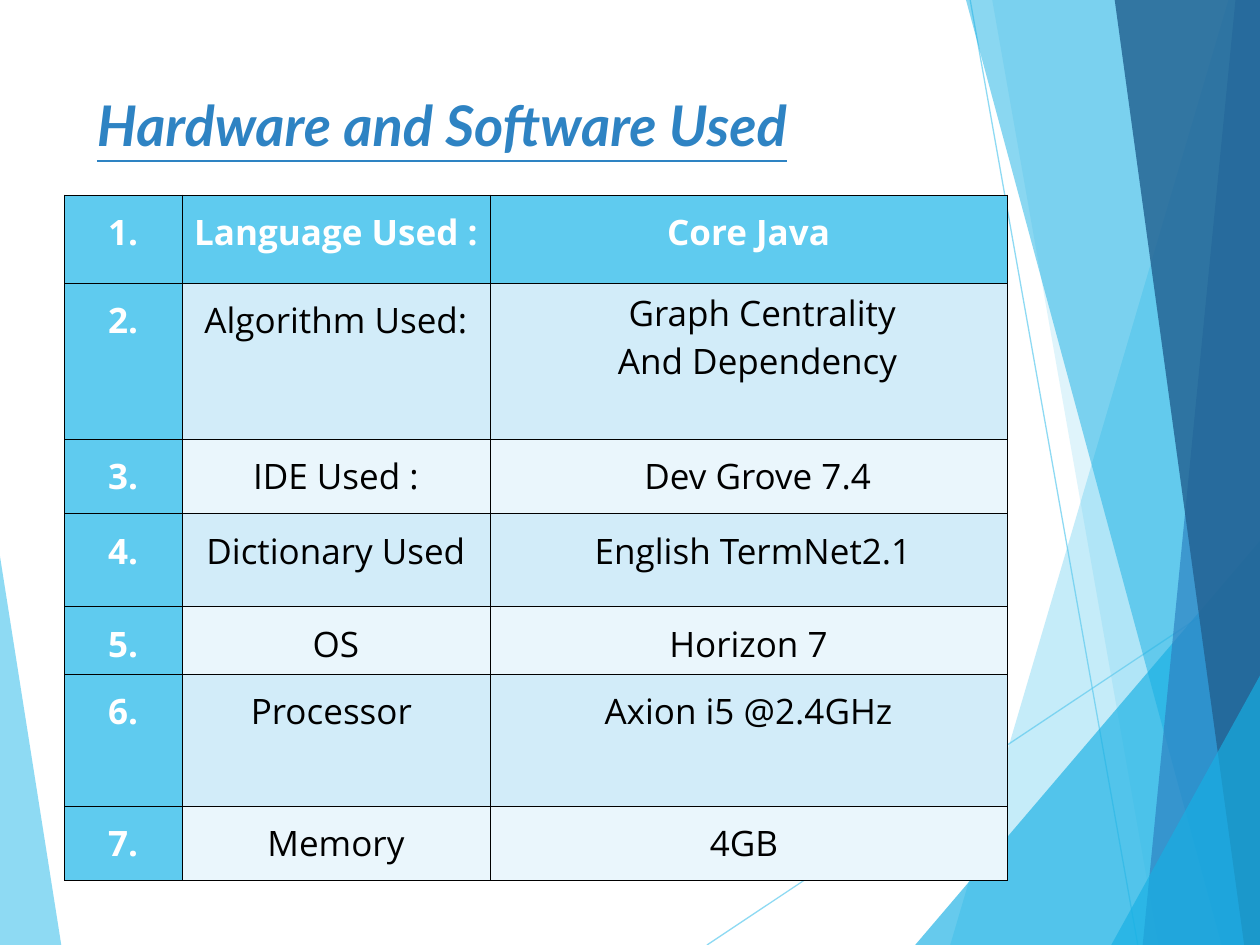
from dataclasses import dataclass
from lxml.etree import SubElement
from pptx import Presentation
from pptx.dml.color import RGBColor
from pptx.enum.shapes import MSO_CONNECTOR
from pptx.enum.text import MSO_ANCHOR, MSO_AUTO_SIZE, PP_ALIGN
from pptx.oxml import parse_xml
from pptx.oxml.ns import nsdecls, qn
from pptx.util import Pt


@dataclass(frozen=True)
class Theme:
    sky: str = "5FCBEF"
    cyan: str = "17B0E4"
    blue: str = "2E83C3"
    navy: str = "236292"
    bands: tuple = ("EAF6FC", "D2ECF9")
    white: str = "FFFFFF"
    black: str = "000000"
    head: str = "Lato"
    body: str = "Open Sans"
    head_size: int = 32
    body_size: int = 20


@dataclass(frozen=True)
class Facet:
    points: tuple
    color: str
    alpha: int


@dataclass(frozen=True)
class Ray:
    start: tuple
    end: tuple


@dataclass(frozen=True)
class Entry:
    label: str
    lines: tuple
    height: float
    shift: float = 0  # moves the value right of centre
    spacing: float = 1.15


T = Theme()
WIDE, HIGH = 720, 540

WEDGE = Facet(((0, 318), (35.3, HIGH), (0, HIGH)), T.sky, 70)
RAYS = (Ray((404, HIGH), (WIDE, 329.5)), Ray((554.4, 0), (650.2, HIGH)))
FACETS = (
    Facet(((702, 0), (543, HIGH), (WIDE, HIGH), (WIDE, 0)), T.sky, 36),
    Facet(((567.4, 0), (661.7, HIGH), (WIDE, HIGH), (WIDE, 0)), T.sky, 20),
    Facet(((522.7, HIGH), (WIDE, 309), (WIDE, HIGH)), T.cyan, 66),
    Facet(((552.4, 0), (698.4, HIGH), (WIDE, HIGH), (WIDE, 0)), T.cyan, 50),
    Facet(((706.3, 0), (653, HIGH), (WIDE, HIGH), (WIDE, 0)), T.blue, 70),
    Facet(((637.3, 0), (711.4, HIGH), (WIDE, HIGH), (WIDE, 0)), T.navy, 82),
    Facet(((635, HIGH), (WIDE, 386), (WIDE, HIGH)), T.cyan, 66),
)

COLS = (67.2, 176, 295.6)
ENTRIES = (
    Entry("Language Used :", ("Core Java",), 50.4),
    Entry("Algorithm Used:", ("Graph Centrality", "And Dependency "), 89, 15.6, 1),
    Entry("IDE Used :", ("Dev Grove 7.4",), 42.5, 10.4),
    Entry("Dictionary Used", ("English TermNet2.1",), 53.3, 5.2),
    Entry("OS", ("Horizon 7",), 38.2),
    Entry("Processor ", ("Axion i5 @2.4GHz",), 75.5),
    Entry("Memory", ("4GB ",), 42.5),
)


def rgb(code: str) -> RGBColor:
    return RGBColor.from_string(code)


def fade(fill, alpha: int) -> None:
    """Set the opacity, in percent, of a solid fill."""
    tint = fill.find(".//" + qn("a:srgbClr"))
    SubElement(tint, qn("a:alpha"), val=str(alpha * 1000))


def draw_facet(slide, facet: Facet) -> None:
    first, *rest = facet.points
    pen = slide.shapes.build_freeform(*first, scale=Pt(1))
    pen.add_line_segments(rest, close=True)
    shape = pen.convert_to_shape()
    shape.shadow.inherit = False
    shape.fill.solid()
    shape.fill.fore_color.rgb = rgb(facet.color)
    shape.line.fill.background()
    fade(shape._element.spPr.find(qn("a:solidFill")), facet.alpha)


def draw_ray(slide, ray: Ray) -> None:
    ends = [Pt(v) for v in ray.start + ray.end]
    line = slide.shapes.add_connector(MSO_CONNECTOR.STRAIGHT, *ends)
    line.line.color.rgb = rgb(T.sky)
    line.line.width = Pt(0.75)
    props = line._element.spPr
    fade(props.find(qn("a:ln")), 70)
    SubElement(props, qn("a:effectLst"))


def add_run(para, text: str, font: str, size: int, color: str, bold: bool):
    run = para.add_run()
    run.text = text
    run.font.name = font
    run.font.size = Pt(size)
    run.font.color.rgb = rgb(color)
    run.font.bold = bold
    return run


def draw_title(slide, text: str) -> None:
    title = slide.shapes.title
    title.left, title.top, title.width, title.height = map(Pt, (48.2, 48.2, 607, 103.7))
    frame = title.text_frame
    frame.word_wrap = True
    frame.auto_size = MSO_AUTO_SIZE.NONE
    frame.vertical_anchor = MSO_ANCHOR.TOP
    para = frame.paragraphs[0]
    para.alignment = PP_ALIGN.LEFT
    run = add_run(para, text, T.head, T.head_size, T.blue, True)
    run.font.italic = run.font.underline = True
    # Keep the title in front of the facets
    slide.shapes._spTree.append(title._element)


def edge_cell(cell) -> None:
    props = cell._tc.get_or_add_tcPr()
    for i, side in enumerate("LRTB"):
        props.insert(i, parse_xml(
            f'<a:ln{side} {nsdecls("a")} w="5715"><a:solidFill>'
            f'<a:srgbClr val="{T.black}"/></a:solidFill></a:ln{side}>'))


def fill_cell(cell, lines: tuple, fill: str, strong: bool,
              spacing: float = 1.15, shift: float = 0) -> None:
    cell.fill.solid()
    cell.fill.fore_color.rgb = rgb(fill)
    cell.margin_left, cell.margin_right = Pt(5.2 + shift), Pt(5.2)
    cell.margin_top = cell.margin_bottom = Pt(3.6)
    edge_cell(cell)
    frame = cell.text_frame
    for i, line in enumerate(lines):
        para = frame.add_paragraph() if i else frame.paragraphs[0]
        para.alignment = PP_ALIGN.CENTER
        para.line_spacing = spacing
        para.space_before = Pt(12 if spacing > 1 else 0)
        color = T.white if strong else T.black
        add_run(para, line, T.body, T.body_size, color, strong)


def draw_table(slide) -> None:
    high = sum(e.height for e in ENTRIES)
    spot = map(Pt, (36.8, 111.4, sum(COLS), high))
    table = slide.shapes.add_table(len(ENTRIES), len(COLS), *spot).table
    for col, wide in zip(table.columns, COLS):
        col.width = Pt(wide)
    for i, entry in enumerate(ENTRIES):
        table.rows[i].height = Pt(entry.height)
        top = i == 0
        fill = T.sky if top else T.bands[i % 2]
        fill_cell(table.cell(i, 0), (f"{i + 1}.",), T.sky, True)
        fill_cell(table.cell(i, 1), (entry.label,), fill, top)
        fill_cell(table.cell(i, 2), entry.lines, fill, top, entry.spacing, entry.shift)


def main() -> None:
    deck = Presentation()
    deck.slide_width, deck.slide_height = Pt(WIDE), Pt(HIGH)
    slide = deck.slides.add_slide(deck.slide_layouts[5])
    # Backdrop
    draw_facet(slide, WEDGE)
    for ray in RAYS:
        draw_ray(slide, ray)
    for facet in FACETS:
        draw_facet(slide, facet)
    # Content
    draw_title(slide, "Hardware and Software Used")
    draw_table(slide)
    deck.save("out.pptx")


if __name__ == "__main__":
    main()
